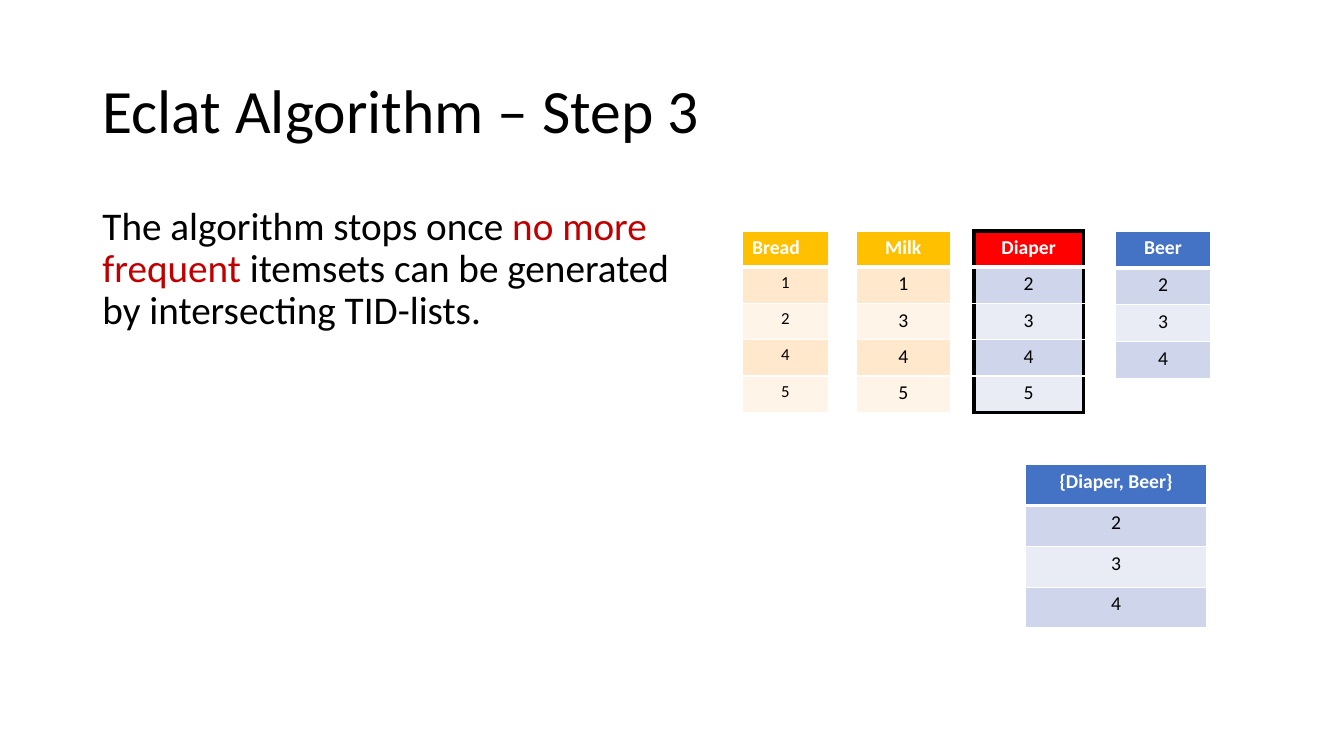
from lxml.etree import SubElement
from pptx import Presentation
from pptx.dml.color import RGBColor as RGB
from pptx.enum.text import MSO_ANCHOR as ANCHOR, MSO_AUTO_SIZE as AUTO, PP_ALIGN as ALIGN
from pptx.oxml.ns import qn
from pptx.util import Pt

COLORS = {
    "black": "000000", "white": "FFFFFF", "crimson": "C00000",
    "amber": "FFC000", "red": "FF0000", "blue": "4472C4",
    "peach": "FFE8CC", "cream": "FFF4E7", "steel": "CFD5EA", "mist": "E9EBF5",
}
FONT = "Calibri"
WARM, COOL = ("peach", "cream"), ("steel", "mist")

TITLE = "Eclat Algorithm – Step 3"
BODY = [
    ("The algorithm stops once ", "black"),
    ("no more frequent ", "crimson"),
    ("itemsets can be generated by intersecting TID-lists.", "black"),
]
CENTERED = {"size": 14, "head_align": ALIGN.CENTER, "framed": False}
# item, TIDs, (left, top, width, row height), header fill, band fills, options
TID_LISTS = [
    ("Bread", [1, 2, 4, 5], (530, 165, 62, 25.92), "amber", WARM,
     CENTERED | {"size": 12, "head_align": ALIGN.LEFT}),
    ("Milk", [1, 3, 4, 5], (611.5, 165, 67.5, 25.92), "amber", WARM, CENTERED),
    ("Diaper", [2, 3, 4, 5], (695.5, 165, 78.5, 25.92), "red", COOL,
     CENTERED | {"framed": True}),
    ("Beer", [2, 3, 4], (797, 165, 67.5, 26.28), "blue", COOL, CENTERED),
    ("{Diaper, Beer}", [2, 3, 4], (732.5, 332, 129.5, 29.16), "blue", COOL, CENTERED),
]


def color(name):
    return RGB.from_string(COLORS[name])


def add_text(p, text, *, size, fill="black", bold=False, align=ALIGN.LEFT):
    p.alignment = align
    r = p.add_run()
    r.text = text
    r.font.name, r.font.size, r.font.bold = FONT, Pt(size), bold
    r.font.color.rgb = color(fill)


def setup_placeholder(sp, box, anchor):
    sp.left, sp.top, sp.width, sp.height = map(Pt, box)
    tf = sp.text_frame
    tf.word_wrap, tf.auto_size, tf.vertical_anchor = True, AUTO.NONE, anchor
    p = tf.paragraphs[0]
    p.line_spacing, p.space_before = 0.9, Pt(0)
    return p


def add_border(cell, side, name, width):
    ln = SubElement(cell._tc.get_or_add_tcPr(), qn(f"a:ln{side}"), w=str(Pt(width)))
    SubElement(SubElement(ln, qn("a:solidFill")), qn("a:srgbClr"), val=COLORS[name])


def add_tid_list(s, item, tids, box, head_fill, bands, options):
    left, top, width, row_height = box
    texts = [item, *map(str, tids)]
    last = len(texts) - 1
    table = s.shapes.add_table(len(texts), 1, Pt(left), Pt(top), Pt(width),
                               Pt(row_height * len(texts))).table
    table.first_row = table.horz_banding = False
    frame = ("black", 3) if options["framed"] else ("white", 1)
    for i, text in enumerate(texts):
        table.rows[i].height = Pt(row_height)
        cell = table.cell(i, 0)
        header_rule = ("white", 3)
        inner = ("white", 1)
        borders = {
            "L": frame,
            "R": frame,
            "T": frame if i == 0 else header_rule if i == 1 else inner,
            "B": header_rule if i == 0 else frame if i == last else inner,
        }
        for side, (name, line_width) in borders.items():
            add_border(cell, side, name, line_width)
        cell.fill.solid()
        cell.fill.fore_color.rgb = color(bands[(i - 1) % 2] if i else head_fill)
        p = cell.text_frame.paragraphs[0]
        if i == 0:
            add_text(p, text, size=14, fill="white", bold=True, align=options["head_align"])
        else:
            add_text(p, text, size=options["size"], align=ALIGN.CENTER)


def main():
    prs = Presentation()
    prs.slide_width, prs.slide_height = Pt(960), Pt(540)
    s = prs.slides.add_slide(prs.slide_layouts[1])

    p = setup_placeholder(s.shapes.title, (66, 28.75, 828, 104.4), ANCHOR.MIDDLE)
    add_text(p, TITLE, size=44)

    p = setup_placeholder(s.placeholders[1], (66, 143.75, 441.5, 342.6), ANCHOR.TOP)
    pPr = p._p.get_or_add_pPr()
    pPr.set("marL", "0")
    pPr.set("indent", "0")
    SubElement(pPr, qn("a:buNone"))
    for text, fill in BODY:
        add_text(p, text, size=28, fill=fill)

    for tid_list in TID_LISTS:
        add_tid_list(s, *tid_list)
    prs.save("out.pptx")


if __name__ == "__main__":
    main()
